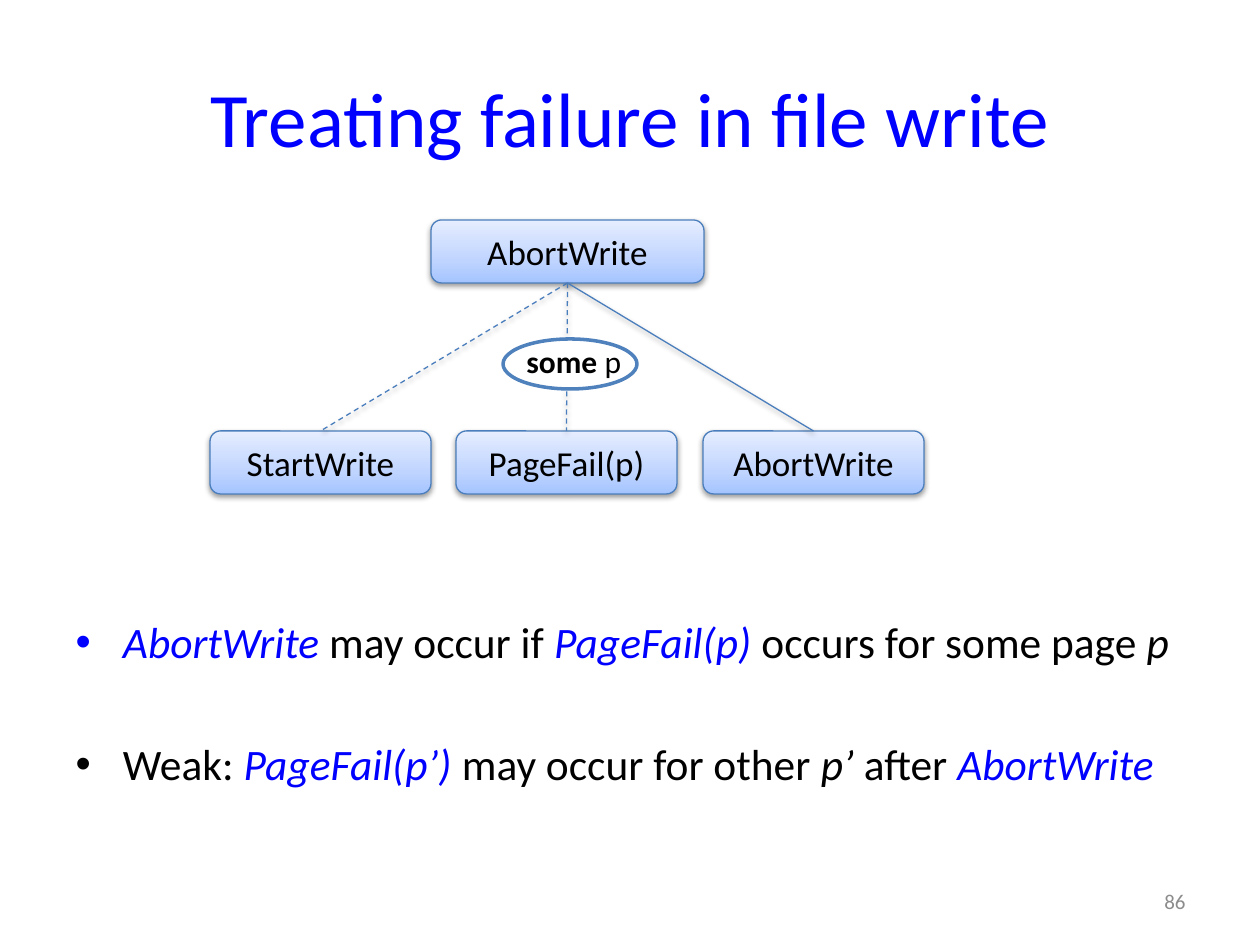
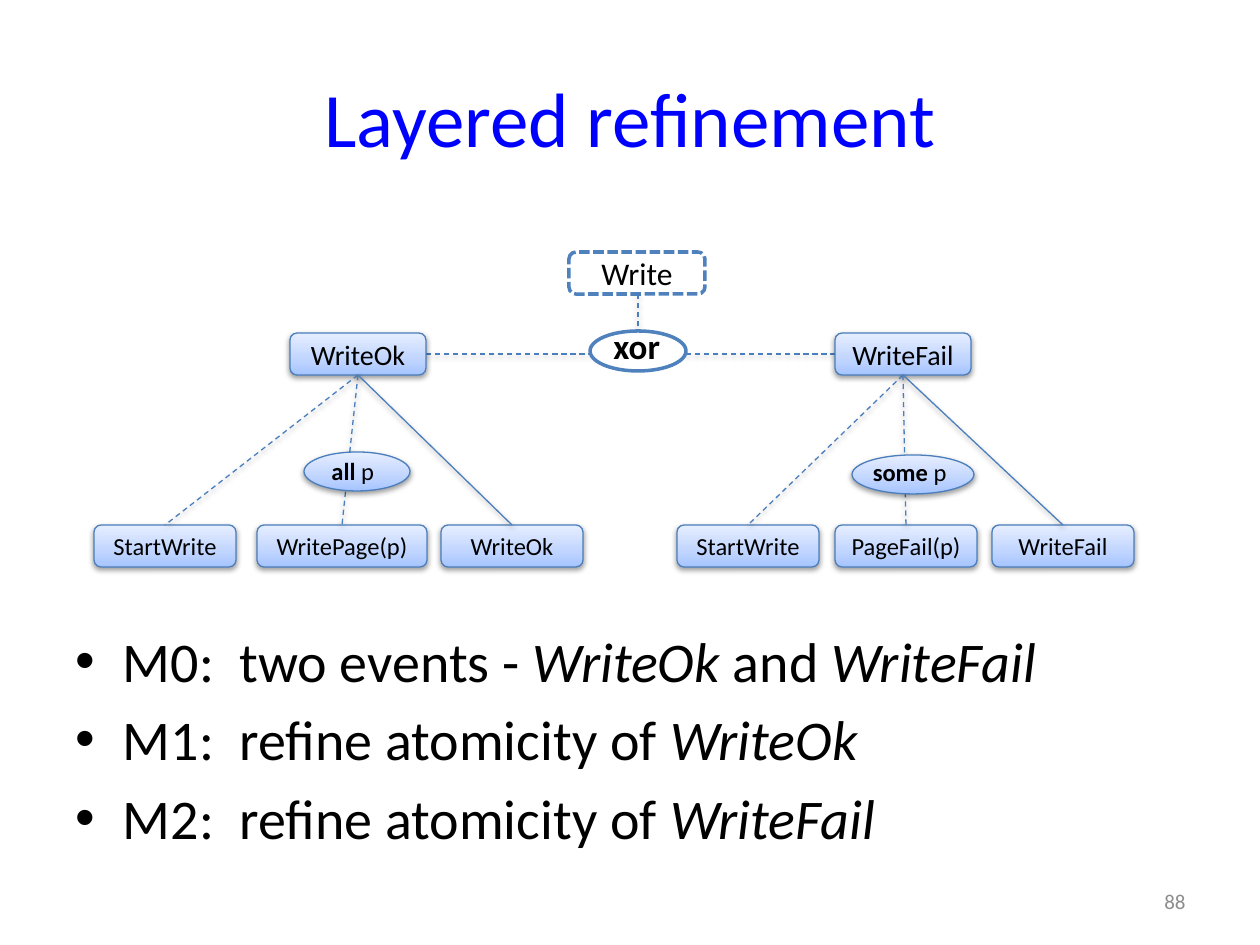
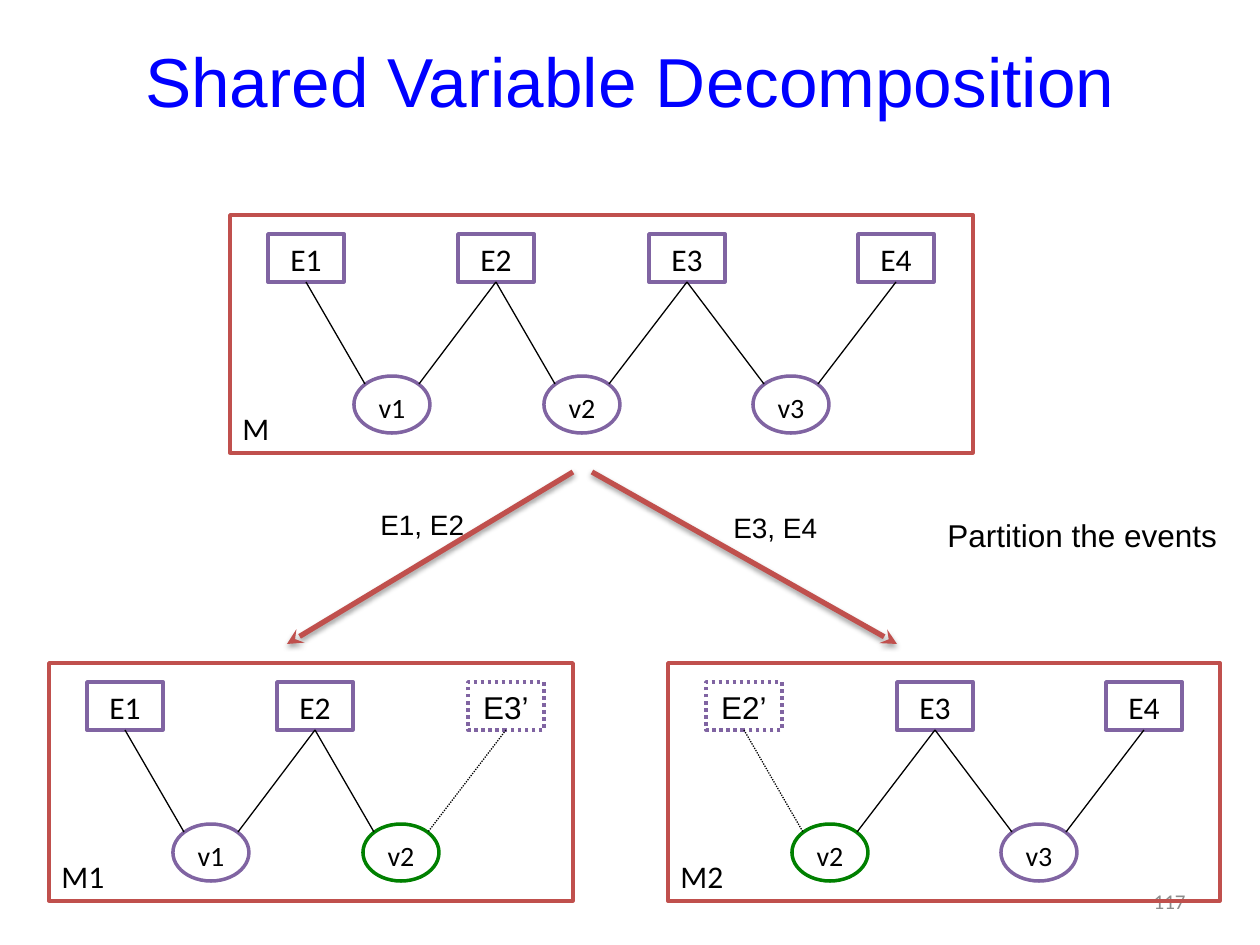
from lxml import etree
from pptx import Presentation
from pptx.dml.color import RGBColor
from pptx.enum import dml, shapes, text
from pptx.oxml import parse_xml
from pptx.oxml.ns import nsdecls, qn
from pptx import util as u

PX = 914400 / 126

BLUE = RGBColor(0x00, 0x00, 0xFF)
BLACK = RGBColor(0x00, 0x00, 0x00)
WHITE = RGBColor(0xFF, 0xFF, 0xFF)
GREY = RGBColor(0x8C, 0x8C, 0x8C)
EDGE = RGBColor(0x4B, 0x7E, 0xBC)
STEEL = RGBColor(0x4F, 0x81, 0xBD)
PURPLE = RGBColor(0x80, 0x64, 0xA2)
RED = RGBColor(0xC0, 0x50, 0x4D)
GREEN = RGBColor(0x00, 0x80, 0x00)

ROUND = shapes.MSO_SHAPE.ROUNDED_RECTANGLE
RECT = shapes.MSO_SHAPE.RECTANGLE
OVAL = shapes.MSO_SHAPE.OVAL
DASH = dml.MSO_LINE.DASH
SHORT_DASH = dml.MSO_LINE.SQUARE_DOT
DOT = dml.MSO_LINE.ROUND_DOT
LEFT, CENTER, RIGHT = text.PP_ALIGN.LEFT, text.PP_ALIGN.CENTER, text.PP_ALIGN.RIGHT
TOP, MIDDLE, BOTTOM = text.MSO_ANCHOR.TOP, text.MSO_ANCHOR.MIDDLE, text.MSO_ANCHOR.BOTTOM

GRADIENT = f"""<a:gradFill {nsdecls('a')} rotWithShape="1"><a:gsLst>
<a:gs pos="0"><a:srgbClr val="A4C4FF"/></a:gs>
<a:gs pos="35000"><a:srgbClr val="BFD4FF"/></a:gs>
<a:gs pos="100000"><a:srgbClr val="E6EEFF"/></a:gs>
</a:gsLst><a:lin ang="16200000" scaled="0"/></a:gradFill>"""
SHADOW = f"""<a:effectLst {nsdecls('a')}>
<a:outerShdw blurRad="40000" dist="20000" dir="5400000" rotWithShape="0">
<a:srgbClr val="000000"><a:alpha val="38000"/></a:srgbClr></a:outerShdw></a:effectLst>"""


def put(s, at, content, kind=None, holder=None, size=18, font="Calibri", color=BLACK,
        align=LEFT, anchor=TOP, wrap=True, gap=None, fill=None, line=EDGE, width=2, dash=None):
    """Write content, a string or paragraphs of (text, style) runs, in a placeholder, shape or text box.

    fill is a colour, None, or "gradient" for a shaded box with a thin edge and a shadow.
    """
    left, top, w, h = [round(n * PX) for n in at]
    if holder is not None:
        sp = holder
        sp.left, sp.top, sp.width, sp.height = left, top, w, h
    elif kind is None:
        sp = s.shapes.add_textbox(left, top, w, h)
    else:
        sp = s.shapes.add_shape(kind, left, top, w, h)
        sp.line.color.rgb = line
        sp.line.width = u.Pt(0.75 if fill == "gradient" else width)
        if dash:
            sp.line.dash_style = dash
        if fill == "gradient":
            sp._element.spPr.insert(2, parse_xml(GRADIENT))
            sp._element.spPr.append(parse_xml(SHADOW))
        else:
            sp.shadow.inherit = False
            if fill is None:
                sp.fill.background()
            else:
                sp.fill.solid()
                sp.fill.fore_color.rgb = fill
    tf = sp.text_frame
    tf.word_wrap = wrap
    tf.auto_size = text.MSO_AUTO_SIZE.NONE
    tf.vertical_anchor = anchor
    paragraphs = [[(content, "")]] if isinstance(content, str) else content
    for i, runs in enumerate(paragraphs):
        p = tf.add_paragraph() if i else tf.paragraphs[0]
        p.alignment = align
        if i and gap:
            p.space_before = u.Pt(gap)
        for words, style in runs:
            r = p.add_run()
            r.text = words
            r.font.size = u.Pt(size)
            r.font.color.rgb = BLUE if style == "event" else color
            r.font.name = font
            r.font.bold = style == "bold"
            r.font.italic = style in ("italic", "event")
            if style == "bold":
                r._r.rPr.insert(1, parse_xml(SHADOW))
    return sp


def link(s, start, end, color=EDGE, width=0.75, dash=None, shadow=True, arrow=False):
    ends = [round(n * PX) for n in (*start, *end)]
    cn = s.shapes.add_connector(shapes.MSO_CONNECTOR.STRAIGHT, *ends)
    cn.line.color.rgb = color
    cn.line.width = u.Pt(width)
    if dash:
        cn.line.dash_style = dash
    spPr = cn._element.spPr
    if arrow:
        etree.SubElement(spPr.find(qn("a:ln")), qn("a:tailEnd"), type="stealth")
    spPr.append(parse_xml(SHADOW if shadow else f"<a:effectLst {nsdecls('a')}/>"))


prs = Presentation()
prs.slide_width, prs.slide_height = round(1260 * PX), round(945 * PX)

# Titles and page numbers
TITLE_AND_BODY, TITLE_ONLY = prs.slide_layouts[1], prs.slide_layouts[5]
slides = []
for layout, title, number, fmt in [
    (TITLE_AND_BODY, "Treating failure in file write", "86", dict(size=44, anchor=MIDDLE)),
    (TITLE_AND_BODY, "Layered refinement", "88", dict(size=44, anchor=MIDDLE)),
    (TITLE_ONLY, "Shared Variable Decomposition", "117", dict(size=39.6, font="Arial")),
]:
    s = prs.slides.add_slide(layout)
    put(s, (63, 38, 1134, 158), title, holder=s.shapes.title, color=BLUE, align=CENTER, **fmt)
    put(s, (904, 876, 294, 50), number, size=12, color=GREY, align=RIGHT, anchor=MIDDLE)
    slides.append(s)
failure, layered, shared = slides
shared.shapes.title.text_frame.margin_top = 0

# Bullets
put(failure, (63, 609, 1134, 235), [
    [("AbortWrite ", "event"), ("may occur if ", ""), ("PageFail(p) ", "event"),
     ("occurs for some page ", ""), ("p", "italic")],
    [("Weak: ", ""), ("PageFail(p’)", "event"), (" may occur for other ", ""),
     ("p’", "italic"), (" after ", ""), ("AbortWrite", "event")],
], holder=failure.placeholders[1], size=24.8, gap=40)
put(layered, (63, 620, 1134, 224), [
    [("M0:  two events - ", ""), ("WriteOk ", "italic"), ("and ", ""), ("WriteFail", "italic")],
    [("M1:  refine atomicity of ", ""), ("WriteOk", "italic")],
    [("M2:  refine atomicity of ", ""), ("WriteFail", "italic")],
], holder=layered.placeholders[1], size=32)

# Layered refinement: the choice above the two trees
put(layered, (569, 252, 136, 42), "Write", kind=ROUND, align=CENTER, anchor=MIDDLE,
    fill=WHITE, line=STEEL, dash=SHORT_DASH)
for start, end in [((426, 354), (598, 354)), ((677, 354), (835, 354)), ((638, 294), (638, 330))]:
    link(layered, start, end, dash=DASH)
put(layered, (590, 331, 96, 40), "", kind=OVAL, fill=WHITE, line=STEEL)
put(layered, (601, 318, 108, 55), [[("xor", "bold")]], size=20)

# Event trees: a root, its three steps, and a quantifier on the middle branch
for s, root, root_at, root_size, steps, step_top, step_size, oval, label_at, label, label_fmt in [
    (failure, "AbortWrite", (431, 220, 273, 63), 20,
     [("StartWrite", 210, 221), ("PageFail(p)", 456, 221), ("AbortWrite", 703, 221)], 431, 20,
     dict(at=(503, 339, 134, 50), fill=WHITE, line=STEEL),
     (514, 336, 121, 50), [("some ", "bold"), ("p", "")], dict(size=18, wrap=False)),
    (layered, "WriteOk", (290, 333, 136, 42), 16,
     [("StartWrite", 94, 142), ("WritePage(p)", 257, 170), ("WriteOk", 441, 142)], 525, 14,
     dict(at=(304, 452, 106, 39), fill="gradient"),
     (302, 450, 107, 43), [("all ", "bold"), ("p ", "")], dict(size=14, align=CENTER)),
    (layered, "WriteFail", (835, 333, 136, 42), 16,
     [("StartWrite", 677, 142), ("PageFail(p)", 835, 142), ("WriteFail", 992, 142)], 525, 14,
     dict(at=(852, 455, 122, 39), fill="gradient"),
     (851, 451, 123, 43), [("some ", "bold"), ("p ", "")], dict(size=14, align=CENTER)),
]:
    left, top, w, h = root_at
    box = dict(kind=ROUND, fill="gradient", align=CENTER, anchor=MIDDLE)
    put(s, root_at, root, size=root_size, **box)
    for step, x, step_w in steps:
        put(s, (x, step_top, step_w, h), step, size=step_size, **box)
        link(s, (left + w / 2, top + h), (x + step_w / 2, step_top),
             dash=None if step == root else DASH)
    put(s, content="", kind=OVAL, **oval)
    put(s, label_at, [label], **label_fmt)

# Machines: variable n is shared by events n and n + 1
EVENT_X = {1: 0, 2: 190, 3: 381, 4: 590}
VARIABLE_X = {1: 86, 2: 276, 3: 485}
for machine, left, top, w, first, last, external in [
    ("M", 230, 215, 743, 1, 4, None),
    ("M1", 49, 663, 524, 1, 3, 3),
    ("M2", 668, 663, 552, 2, 4, 2),
]:
    origin = left + 38 - EVENT_X[first]
    for n in range(first, last + 1):
        outside = n == external
        put(shared, (origin + EVENT_X[n], top + 19, 76, 48), f"E{n}’" if outside else f"E{n}",
            kind=RECT, align=CENTER, fill=WHITE, line=PURPLE,
            font="Arial" if outside else "Calibri", dash=DOT if outside else None)
    for n in range(first, last):
        x = origin + VARIABLE_X[n]
        split = external is not None and n == 2
        put(shared, (x, top + 161, 76, 57), f"v{n}", kind=OVAL, size=16, align=CENTER,
            fill=None if split else WHITE, line=GREEN if split else PURPLE)
        for event, touch in [(n, 11), (n + 1, 65)]:
            link(shared, (origin + EVENT_X[event] + 38, top + 67), (x + touch, top + 169),
                 color=BLACK, dash=DOT if event == external else None, shadow=False)
    put(shared, (left, top, w, 238), machine, kind=RECT, anchor=BOTTOM, line=RED)

# Partition arrows and their labels
for start, end in [((573, 472), (287, 644)), ((592, 472), (897, 644))]:
    link(shared, start, end, color=RED, width=3, arrow=True)
for at, words, size in [
    ((368, 501, 111, 47), "E1, E2", 16),
    ((721, 504, 111, 47), "E3, E4", 16),
    ((935, 510, 295, 49), "Partition the events", 18),
]:
    put(shared, at, words, size=size, font="Arial", wrap=False)

prs.save("out.pptx")
